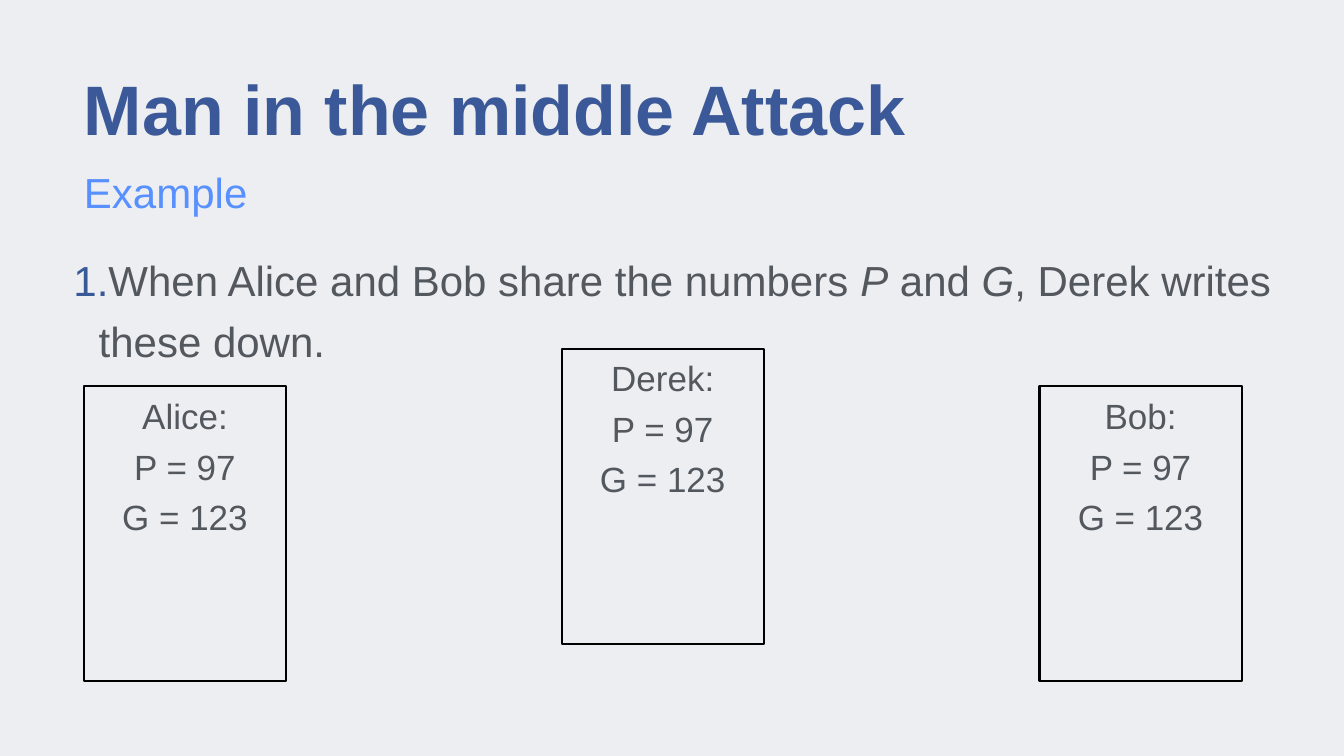
from dataclasses import dataclass

from lxml import etree
from pptx import Presentation
from pptx.dml.color import RGBColor
from pptx.enum.shapes import MSO_SHAPE
from pptx.enum.text import MSO_ANCHOR, PP_ALIGN
from pptx.oxml.ns import qn
from pptx.shapes.base import BaseShape
from pptx.slide import Slide
from pptx.util import Pt

EMU_PER_PX = 9525
FONT = "Arial"
LINE_SPACING = 1.2

BACKGROUND = RGBColor(0xED, 0xEE, 0xF1)
TITLE_BLUE = RGBColor(0x3B, 0x59, 0x98)
SUBTITLE_BLUE = RGBColor(0x58, 0x90, 0xFF)
NUMBER_BLUE = RGBColor(0x38, 0x59, 0x98)
TEXT_GRAY = RGBColor(0x53, 0x58, 0x5F)
BLACK = RGBColor(0x00, 0x00, 0x00)

RECTANGLE = MSO_SHAPE.RECTANGLE
TOP, MIDDLE = MSO_ANCHOR.TOP, MSO_ANCHOR.MIDDLE
CENTER = PP_ALIGN.CENTER

MARGIN = 160
CONTENT_WIDTH = 2240
PERSON_WIDTH, PERSON_HEIGHT = 385, 562
PERSON_STEP = 910


@dataclass(frozen=True)
class Heading:
    text: str
    top: int
    height: int
    size: int
    color: RGBColor
    bold: bool = False


@dataclass(frozen=True)
class Person:
    name: str
    top: int


HEADINGS = (
    Heading("Man in the middle Attack", 109, 193, 100, TITLE_BLUE, bold=True),
    Heading("Example", 306, 117, 60, SUBTITLE_BLUE),
)
PEOPLE = (Person("Alice", 736), Person("Derek", 664), Person("Bob", 736))
KNOWN_VALUES = ("P = 97", "G = 123")
STEP_RUNS = (
    ("When Alice and Bob share the numbers ", False),
    ("P", True),
    (" and ", False),
    ("G", True),
    (", Derek writes these down.", False),
)


def px(length: int) -> int:
    return length * EMU_PER_PX


def prepare_frame(shape: BaseShape, anchor: MSO_ANCHOR):
    """Wrap the text, remove the insets and return the text frame."""
    frame = shape.text_frame
    frame.word_wrap = True
    frame.vertical_anchor = anchor
    frame.margin_left = frame.margin_right = 0
    frame.margin_top = frame.margin_bottom = 0
    return frame


def set_font(paragraph, size: int, color: RGBColor, bold: bool = False) -> None:
    font = paragraph.font
    font.name = FONT
    font.size = Pt(size)
    font.bold = bold
    font.color.rgb = color


def number_paragraph(paragraph, margin: int, indent: int) -> None:
    """Add a coloured automatic number with a hanging indent."""
    properties = paragraph._p.get_or_add_pPr()
    properties.set("marL", str(px(margin)))
    properties.set("indent", str(px(indent)))
    bullet_color = etree.SubElement(properties, qn("a:buClr"))
    etree.SubElement(bullet_color, qn("a:srgbClr"), val=str(NUMBER_BLUE))
    etree.SubElement(properties, qn("a:buAutoNum"), type="arabicPeriod")


def add_heading(slide: Slide, heading: Heading) -> None:
    box = slide.shapes.add_textbox(
        px(MARGIN), px(heading.top), px(CONTENT_WIDTH), px(heading.height)
    )
    paragraph = prepare_frame(box, MIDDLE).paragraphs[0]
    paragraph.text = heading.text
    set_font(paragraph, heading.size, heading.color, heading.bold)


def add_step(slide: Slide) -> None:
    box = slide.shapes.add_textbox(px(140), px(466), px(2323), px(297))
    paragraph = prepare_frame(box, TOP).paragraphs[0]
    paragraph.line_spacing = LINE_SPACING
    number_paragraph(paragraph, margin=48, indent=-64)
    set_font(paragraph, 60, TEXT_GRAY)
    for text, italic in STEP_RUNS:
        run = paragraph.add_run()
        run.text = text
        run.font.italic = italic


def add_person(slide: Slide, person: Person, left: int) -> None:
    box = slide.shapes.add_shape(
        RECTANGLE, px(left), px(person.top), px(PERSON_WIDTH), px(PERSON_HEIGHT)
    )
    box.shadow.inherit = False
    box.fill.background()
    box.line.color.rgb = BLACK
    box.line.width = Pt(3)
    frame = prepare_frame(box, TOP)
    frame.text = "\n".join((f"{person.name}:", *KNOWN_VALUES))
    for paragraph in frame.paragraphs:
        paragraph.alignment = CENTER
        paragraph.line_spacing = LINE_SPACING
        set_font(paragraph, 50, TEXT_GRAY)


def main() -> None:
    presentation = Presentation()
    presentation.slide_width = px(2560)
    presentation.slide_height = px(1440)
    slide = presentation.slides.add_slide(presentation.slide_layouts[6])
    slide.background.fill.solid()
    slide.background.fill.fore_color.rgb = BACKGROUND

    add_step(slide)
    for heading in HEADINGS:
        add_heading(slide, heading)
    for index, person in enumerate(PEOPLE):
        add_person(slide, person, MARGIN + index * PERSON_STEP)

    presentation.save("out.pptx")


if __name__ == "__main__":
    main()
